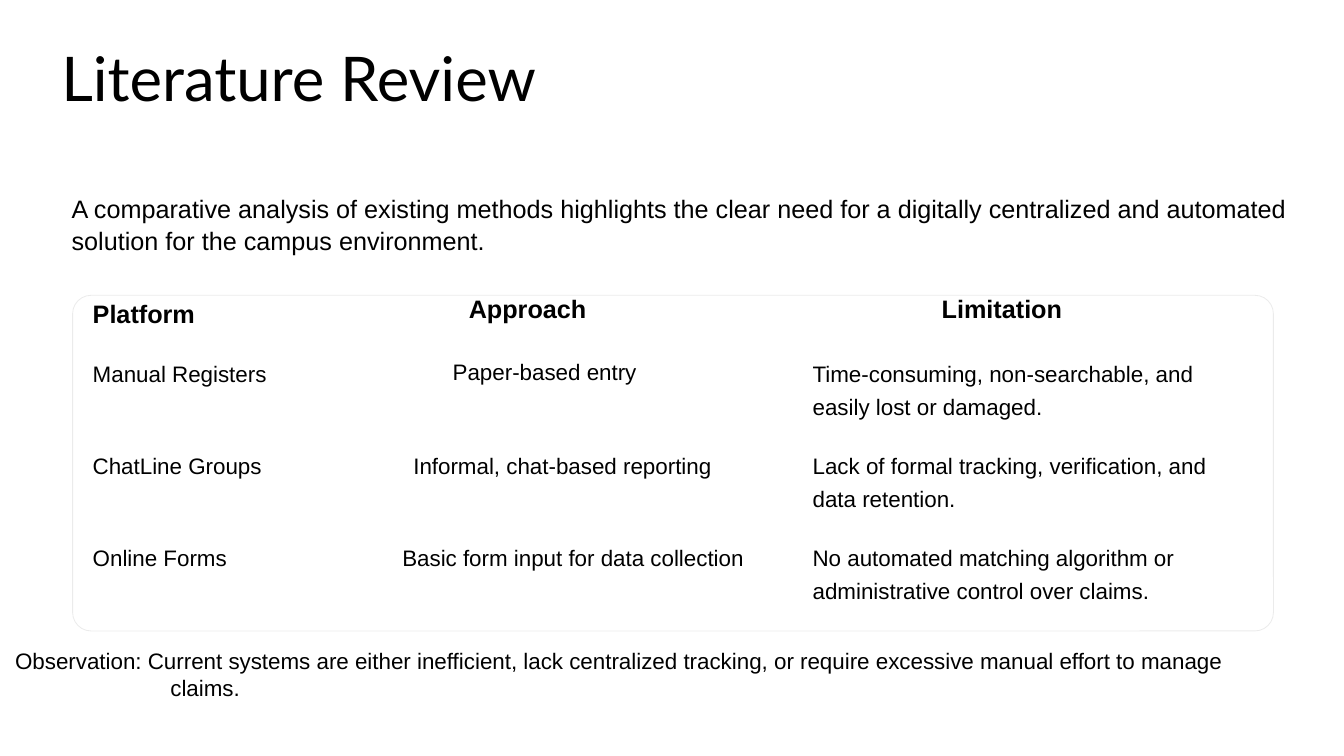
from lxml.etree import SubElement
from pptx import Presentation
from pptx.dml.color import RGBColor
from pptx.enum.shapes import MSO_SHAPE as Shape
from pptx.enum.text import MSO_AUTO_SIZE as AutoSize
from pptx.oxml.ns import qn
from pptx.util import Inches, Pt

COLORS = {"text": "000000", "frame": "000000", "band": "FFFFFF"}
BODY_FONT = "Arial"
TITLE_FONT = "Lato"
PLATFORM_LEFT, LIMITATION_LEFT = 0.92, 8.06
FIRST_ROW_TOP, ROW_PITCH = 3.52, 0.91

HEADERS = [
    ("Platform", PLATFORM_LEFT, 2.94, 1.97),
    ("Approach", 4.65, 2.89, 4.34),
    ("Limitation", 9.34, 2.89, 4.35),
]
METHODS = [
    ("Manual Registers", "Paper-based entry", 4.49, -0.02,
     "Time-consuming, non-searchable, and easily lost or damaged."),
    ("ChatLine Groups", "Informal, chat-based reporting", 4.1, 0,
     "Lack of formal tracking, verification, and data retention."),
    ("Online Forms", "Basic form input for data collection", 3.99, 0,
     "No automated matching algorithm or administrative control over claims."),
]
OBSERVATION = [
    "Observation: Current systems are either inefficient, lack centralized "
    "tracking, or require excessive manual effort to manage",
    "claims.",
]


def color(key):
    return RGBColor.from_string(COLORS[key])


def set_alpha(fill_owner, percent):
    srgb = next(fill_owner.iter(qn("a:srgbClr")))
    SubElement(srgb, qn("a:alpha")).set("val", str(percent * 1000))


def add_run(paragraph, text, size, font=BODY_FONT, bold=False):
    run = paragraph.add_run()
    run.text = text
    run.font.size = Pt(size)
    run.font.name = font
    run.font.bold = bold
    run.font.color.rgb = color("text")


def add_text(slide, lines, left, top, width, height, size=16, bold=False,
             wrap=False, spacing=23.3):
    box = slide.shapes.add_textbox(
        Inches(left), Inches(top), Inches(width), Inches(height))
    frame = box.text_frame
    frame.word_wrap = wrap
    frame.margin_left = frame.margin_right = 0
    frame.margin_top = frame.margin_bottom = 0
    for index, line in enumerate(lines):
        paragraph = frame.add_paragraph() if index else frame.paragraphs[0]
        paragraph.line_spacing = Pt(spacing)
        add_run(paragraph, line, size, bold=bold)
    return frame


def add_title(slide, text):
    box = slide.shapes.add_textbox(
        Inches(0.51), Inches(0.35), Inches(6.67), Inches(0.84))
    box.text_frame.word_wrap = True
    box.text_frame.auto_size = AutoSize.SHAPE_TO_FIT_TEXT
    add_run(box.text_frame.paragraphs[0], text, 44, TITLE_FONT)


def add_comparison_frame(slide):
    border = slide.shapes.add_shape(
        Shape.ROUNDED_RECTANGLE,
        Inches(0.72), Inches(2.93), Inches(11.91), Inches(3.33))
    border.shadow.inherit = False
    border.adjustments[0] = 0.055
    border.fill.background()
    border.line.color.rgb = color("frame")
    border.line.width = Pt(0.6)
    set_alpha(border.line._ln, 8)

    header_band = slide.shapes.add_shape(
        Shape.RECTANGLE,
        Inches(1.23), Inches(2.93), Inches(11.89), Inches(0.58))
    header_band.shadow.inherit = False
    header_band.fill.solid()
    header_band.fill.fore_color.rgb = color("band")
    set_alpha(header_band._element.spPr, 4)
    header_band.line.fill.background()


def add_comparison(slide):
    add_comparison_frame(slide)
    for label, left, top, width in HEADERS:
        add_text(slide, [label], left, top, width, 0.33, size=18, bold=True)
    for row, method in enumerate(METHODS):
        platform, approach, approach_left, approach_shift, limitation = method
        top = FIRST_ROW_TOP + row * ROW_PITCH
        add_text(slide, [platform], PLATFORM_LEFT, top, 1.97, 0.33)
        add_text(slide, [approach], approach_left, top + approach_shift,
                 4.34, 0.33)
        add_text(slide, [limitation], LIMITATION_LEFT, top, 4.35, 0.65,
                 wrap=True)


def add_observation(slide):
    frame = add_text(slide, OBSERVATION, 0.15, 6.43, 12.9, 0.64, spacing=18.8)
    continuation = frame.paragraphs[1]._p.get_or_add_pPr()
    continuation.set("marL", str(Inches(1.54)))
    continuation.set("indent", "0")


def main():
    deck = Presentation()
    deck.slide_width = Inches(13.33)
    deck.slide_height = Inches(7.5)
    slide = deck.slides.add_slide(deck.slide_layouts[6])
    add_text(slide, [
        "A comparative analysis of existing methods highlights the clear need "
        "for a digitally centralized and automated solution for the campus "
        "environment."], 0.71, 1.89, 12.22, 0.69, size=18, wrap=True)
    add_comparison(slide)
    add_observation(slide)
    add_title(slide, "Literature Review")
    deck.save("out.pptx")


if __name__ == "__main__":
    main()
